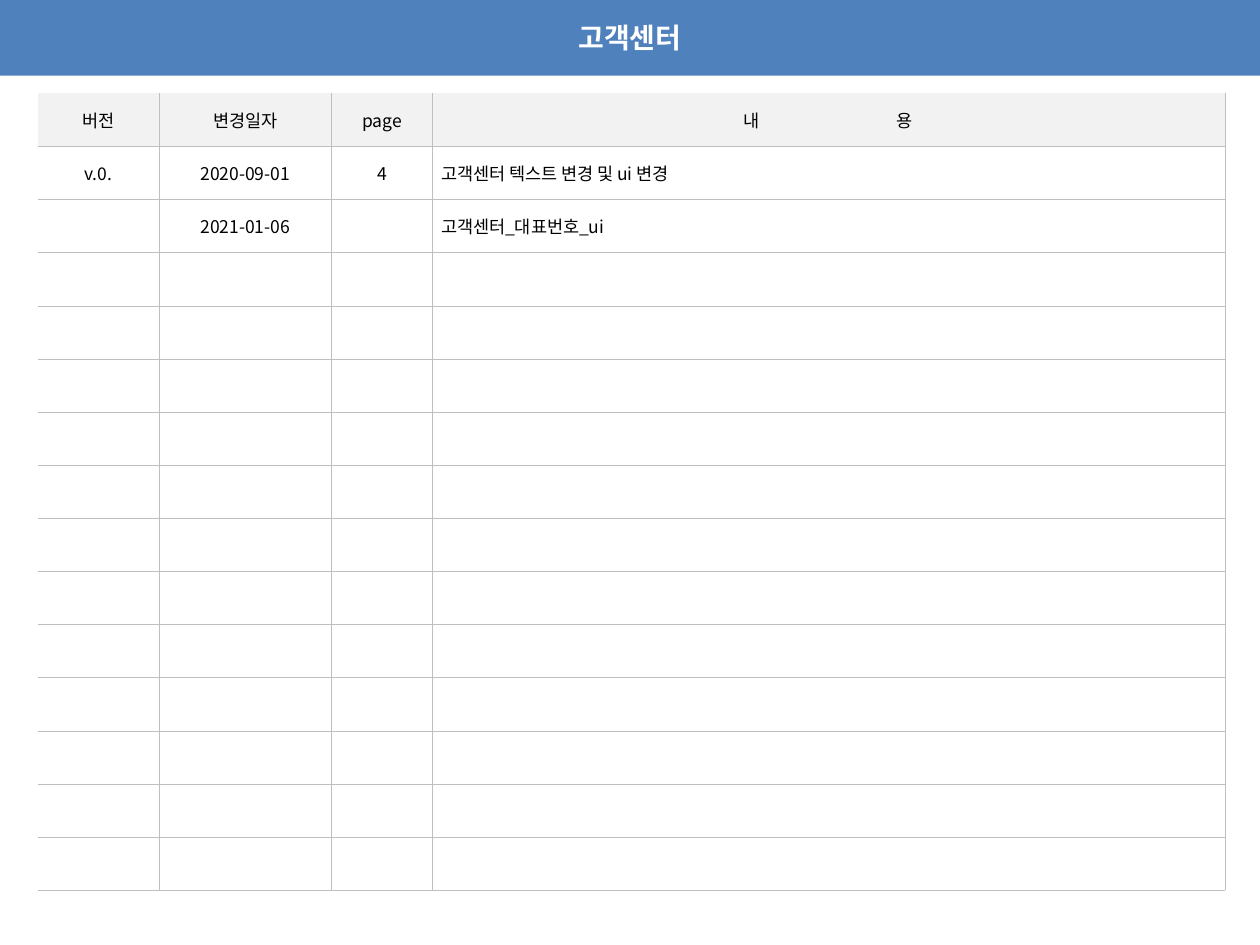
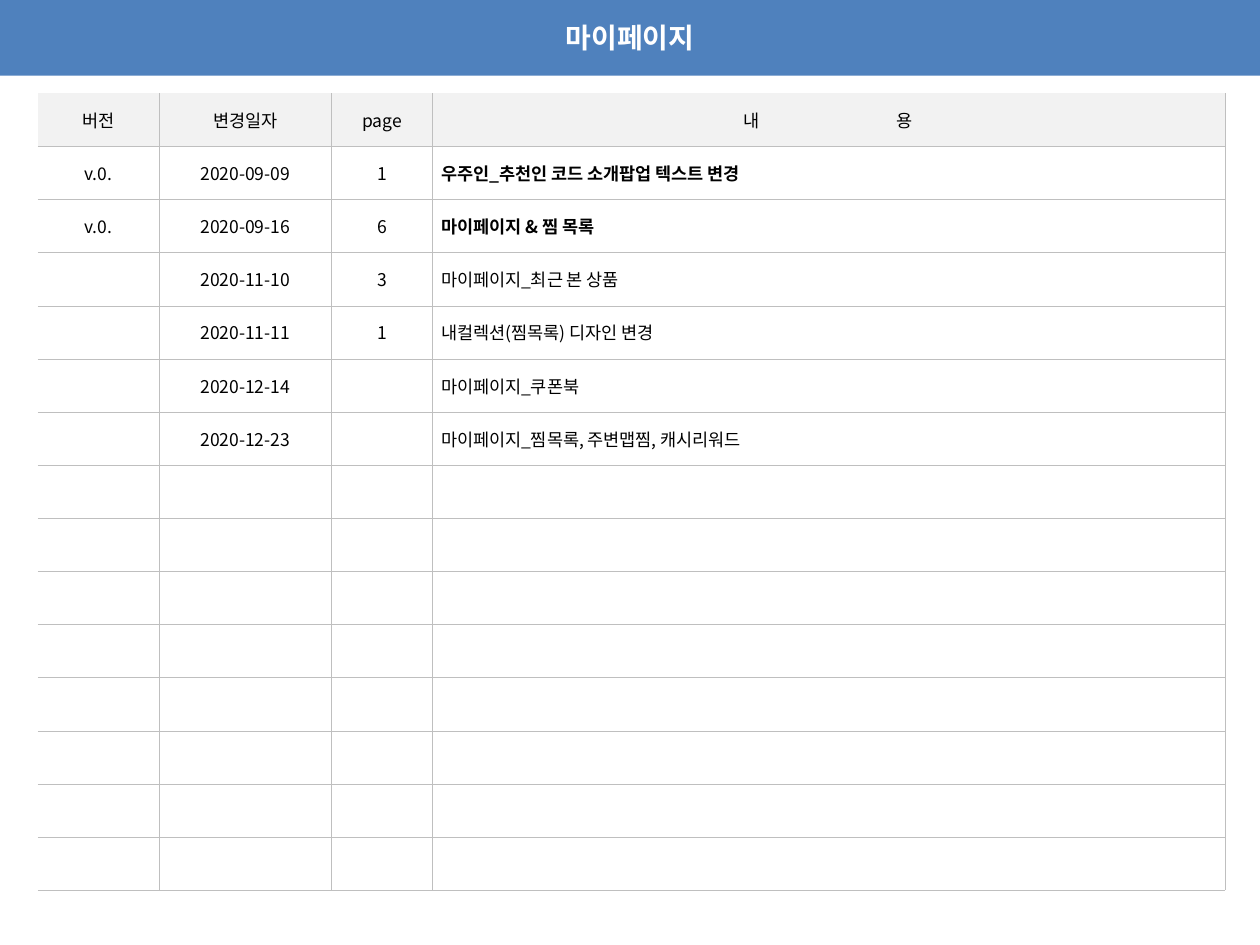
from lxml.etree import SubElement
from pptx import Presentation
from pptx.dml.color import RGBColor
from pptx.enum.shapes import MSO_SHAPE
from pptx.enum.text import MSO_ANCHOR, PP_ALIGN
from pptx.oxml.ns import qn
from pptx.util import Pt

FONT = "Noto Sans CJK KR"
BLUE = RGBColor(0x4F, 0x81, 0xBD)
GREY_FILL = RGBColor(0xF2, 0xF2, 0xF2)
GREY_LINE = RGBColor(0xBF, 0xBF, 0xBF)
BLACK = RGBColor(0, 0, 0)
WHITE = RGBColor(0xFF, 0xFF, 0xFF)

SLIDE_WIDTH, SLIDE_HEIGHT = 720, 540
BAND_BOX = (0, 0, SLIDE_WIDTH, 43.2)
TABLE_BOX = (21.6, 53.3, 678.4, 455.7)
COLUMN_WIDTHS = (69.2, 98.7, 57.6, 452.9)
ROW_COUNT = 15
BODY_SIZE = 10
HEADER = ("버전", "변경일자", "page", "내\t용")
CONTENT_START, CONTENT_GAP = 178, 87.4

# Per slide: title, then rows of version, date, page, content, bold content
HISTORIES = (
    ("고객센터", (
        ("v.0.", "2020-09-01", "4", "고객센터 텍스트 변경 및 ui 변경", False),
        ("", "2021-01-06", "", "고객센터_대표번호_ui", False),
    )),
    ("마이페이지", (
        ("v.0.", "2020-09-09", "1", "우주인_추천인 코드 소개팝업 텍스트 변경", True),
        ("v.0.", "2020-09-16", "6", "마이페이지 & 찜 목록", True),
        ("", "2020-11-10", "3", "마이페이지_최근 본 상품", False),
        ("", "2020-11-11", "1", "내컬렉션(찜목록) 디자인 변경", False),
        ("", "2020-12-14", "", "마이페이지_쿠폰북", False),
        ("", "2020-12-23", "", "마이페이지_찜목록, 주변맵찜, 캐시리워드", False),
    )),
)


def write_text(text_frame, text, size=BODY_SIZE, color=BLACK, bold=False,
               align=PP_ALIGN.CENTER, tab=None):
    paragraph = text_frame.paragraphs[0]
    paragraph.alignment = align
    if tab:
        tab_list = SubElement(paragraph._p.get_or_add_pPr(), qn("a:tabLst"))
        SubElement(tab_list, qn("a:tab"), pos=str(Pt(tab)), algn="l")
    if not text:
        # Keeps an empty cell from growing to the default text size
        SubElement(paragraph._p, qn("a:endParaRPr"), sz=str(size * 100))
        return
    run = paragraph.add_run()
    run.text = text
    run.font.size = Pt(size)
    run.font.bold = bold
    run.font.color.rgb = color
    run.font.name = FONT
    SubElement(run._r.get_or_add_rPr(), qn("a:ea"), typeface=FONT)


def set_borders(cell, visible):
    properties = cell._tc.get_or_add_tcPr()
    for side in ("L", "R", "T", "B"):
        line = SubElement(properties, qn(f"a:ln{side}"), w=str(Pt(0.25)))
        if side in visible:
            fill = SubElement(line, qn("a:solidFill"))
            SubElement(fill, qn("a:srgbClr"), val=str(GREY_LINE))
        else:
            SubElement(line, qn("a:noFill"))


def format_cell(cell, row_index, column_index):
    cell.vertical_anchor = MSO_ANCHOR.MIDDLE
    cell.margin_left = cell.margin_right = Pt(5)
    cell.margin_top = cell.margin_bottom = Pt(2.9)
    # The table stays open on its left and top edges
    set_borders(cell, "RB" + ("L" if column_index else "") + ("T" if row_index else ""))
    if row_index == 0:
        cell.fill.solid()
        cell.fill.fore_color.rgb = GREY_FILL
    else:
        cell.fill.background()


def add_title_band(slide, box, title):
    band = slide.shapes.add_shape(MSO_SHAPE.RECTANGLE, *map(Pt, box))
    band.shadow.inherit = False
    band.fill.solid()
    band.fill.fore_color.rgb = BLUE
    band.line.fill.background()
    band.text_frame.vertical_anchor = MSO_ANCHOR.MIDDLE
    write_text(band.text_frame, title, size=16, color=WHITE, bold=True)


def add_history_table(slide, box, records):
    table = slide.shapes.add_table(ROW_COUNT, len(HEADER), *map(Pt, box)).table
    table.horz_banding = False
    for column, width in zip(table.columns, COLUMN_WIDTHS):
        column.width = Pt(width)
    for row in table.rows:
        row.height = Pt(box[3] / ROW_COUNT)

    last_column = len(HEADER) - 1
    for row_index in range(ROW_COUNT):
        record = records[row_index - 1] if 0 < row_index <= len(records) else None
        texts = HEADER if row_index == 0 else record or [""] * len(HEADER)
        for column_index in range(len(HEADER)):
            cell = table.cell(row_index, column_index)
            format_cell(cell, row_index, column_index)
            is_content = column_index == last_column
            is_wide_heading = is_content and row_index == 0
            if is_wide_heading:
                cell.margin_left = Pt(CONTENT_START)
            write_text(cell.text_frame, texts[column_index],
                       bold=bool(is_content and record and record[-1]),
                       align=PP_ALIGN.LEFT if is_content else PP_ALIGN.CENTER,
                       tab=CONTENT_GAP if is_wide_heading else None)


def main():
    presentation = Presentation()
    presentation.slide_width = Pt(SLIDE_WIDTH)
    presentation.slide_height = Pt(SLIDE_HEIGHT)
    for title, records in HISTORIES:
        slide = presentation.slides.add_slide(presentation.slide_layouts[6])
        add_history_table(slide, TABLE_BOX, records)
        add_title_band(slide, BAND_BOX, title)
    presentation.save("out.pptx")


if __name__ == "__main__":
    main()
